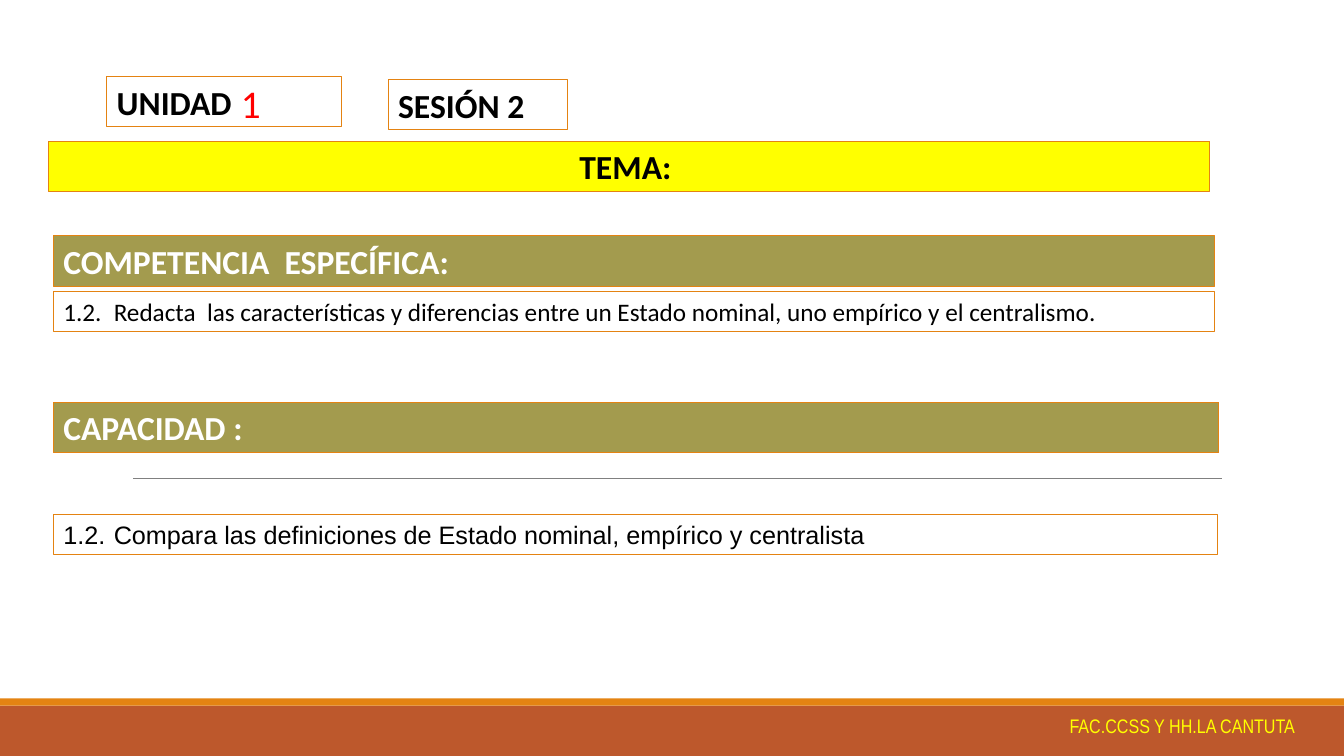
from dataclasses import dataclass

import pptx
import pptx.dml.color
import pptx.enum.shapes
import pptx.enum.text
import pptx.oxml
import pptx.util
from pptx.util import Inches


@dataclass(frozen=True)
class Theme:
    orange: str = "E48312"
    rust: str = "BD582C"
    olive: str = "A39B4E"
    yellow: str = "FFFF00"
    red: str = "FF0000"
    grey: str = "808080"
    black: str = "000000"
    white: str = "FFFFFF"
    font: str = "Calibri"
    item_font: str = "Arial"
    footer_font: str = "Arial Narrow"
    number_size: int = 28
    heading_size: int = 24
    body_size: int = 18
    footer_size: int = 14
    border: float = 0.75
    rule: float = 0.5


T = Theme()
LEFT = pptx.enum.text.PP_ALIGN.LEFT
CENTER = pptx.enum.text.PP_ALIGN.CENTER
HEADING_HEIGHT = 0.5
ITEM_HEIGHT = 0.4
ITEM_INDENT = 0.5


def rgb(value):
    return pptx.dml.color.RGBColor.from_string(value)


def write(sp, text, size, color, font=T.font, bold=False, align=LEFT):
    tf = sp.text_frame
    tf.word_wrap = True
    tf.vertical_anchor = pptx.enum.text.MSO_ANCHOR.MIDDLE
    p = tf.paragraphs[0]
    p.text = text
    p.alignment = align
    for r in p.runs:
        r.font.name = font
        r.font.size = pptx.util.Pt(size)
        r.font.bold = bold
        r.font.color.rgb = rgb(color)
    return p


def add_rect(s, x, y, w, h, fill=None, line=None):
    sp = s.shapes.add_shape(pptx.enum.shapes.MSO_SHAPE.RECTANGLE,
                            Inches(x), Inches(y), Inches(w), Inches(h))
    sp.shadow.inherit = False
    if fill:
        sp.fill.solid()
        sp.fill.fore_color.rgb = rgb(fill)
    else:
        sp.fill.background()
    if line:
        sp.line.color.rgb = rgb(line)
        sp.line.width = pptx.util.Pt(T.border)
    else:
        sp.line.fill.background()
    return sp


def add_heading(s, text, x, y, w, fill=None, color=T.black, align=LEFT):
    sp = add_rect(s, x, y, w, HEADING_HEIGHT, fill, T.orange)
    write(sp, text, T.heading_size, color, bold=True, align=align)


def add_item(s, number, text, x, y, w, font):
    """Add a bordered box whose text hangs after its number."""
    sp = add_rect(s, x, y, w, ITEM_HEIGHT, line=T.orange)
    p = write(sp, f"{number}\t{text}", T.body_size, T.black, font)
    pPr = p._p.get_or_add_pPr()
    pPr.set("marL", str(Inches(ITEM_INDENT)))
    pPr.set("indent", str(-Inches(ITEM_INDENT)))


def add_label(s, text, x, y, w, h, size, color, font):
    sp = s.shapes.add_textbox(Inches(x), Inches(y), Inches(w), Inches(h))
    write(sp, text, size, color, font)


def add_rule(s, x1, x2, y):
    line = s.shapes.add_connector(pptx.enum.shapes.MSO_CONNECTOR.STRAIGHT,
                                  Inches(x1), Inches(y), Inches(x2), Inches(y))
    line.line.color.rgb = rgb(T.grey)
    line.line.width = pptx.util.Pt(T.rule)
    line._element.spPr.append(pptx.oxml.parse_xml(
        '<a:effectLst xmlns:a="http://schemas.openxmlformats.org/drawingml/2006/main"/>'))


def add_footer(s):
    add_rect(s, 0, 7, 13.33, 0.5, T.rust)
    add_rect(s, 0, 6.93, 13.33, 0.07, T.orange)
    add_label(s, "FAC.CCSS Y HH.LA CANTUTA", 10.51, 7.03, 2.8, 0.34,
              T.footer_size, T.yellow, T.footer_font)


def main():
    prs = pptx.Presentation()
    prs.slide_width = Inches(13.33)
    prs.slide_height = Inches(7.5)
    s = prs.slides.add_slide(prs.slide_layouts[6])

    add_footer(s)
    add_rule(s, 1.32, 12.12, 4.75)

    add_heading(s, "UNIDAD", 1.06, 0.76, 2.33)
    add_label(s, "1", 2.29, 0.74, 0.55, 0.56, T.number_size, T.red, T.font)
    add_heading(s, "SESIÓN 2", 3.85, 0.79, 1.78)
    add_heading(s, "TEMA: ", 0.48, 1.4, 11.52, T.yellow, align=CENTER)

    add_heading(s, "COMPETENCIA  ESPECÍFICA:", 0.53, 2.34, 11.52, T.olive, T.white)
    add_item(s, "1.2.", "Redacta  las características y diferencias entre un Estado "
             "nominal, uno empírico y el centralismo.", 0.53, 2.89, 11.52, T.font)

    add_heading(s, "CAPACIDAD :", 0.53, 3.99, 11.56, T.olive, T.white)
    add_item(s, "1.2.", "Compara las definiciones de Estado nominal, empírico y "
             "centralista", 0.53, 5.1, 11.55, T.item_font)

    prs.save("out.pptx")


if __name__ == "__main__":
    main()
